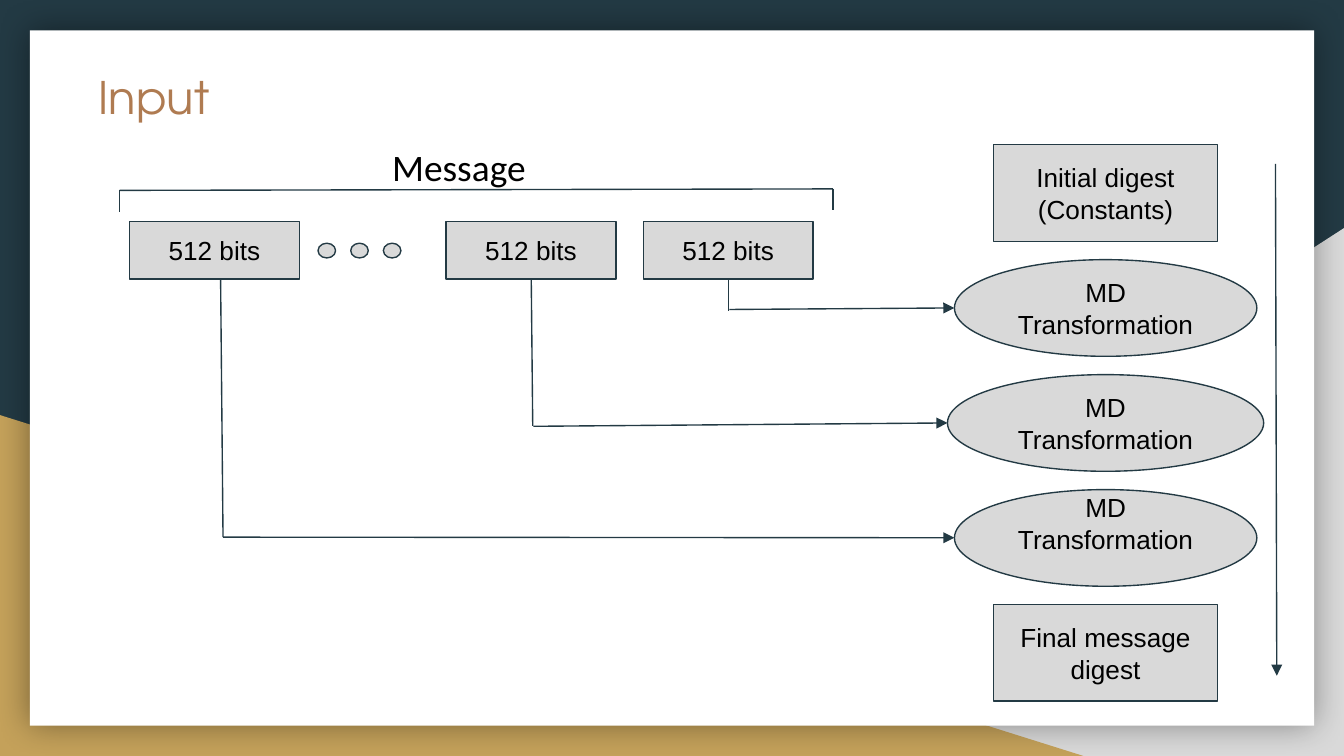
"""Build the slide that shows how message blocks feed the digest transformations."""
from typing import NamedTuple

from lxml.etree import SubElement
from pptx import Presentation
from pptx.dml.color import RGBColor
from pptx.enum.shapes import MSO_CONNECTOR, MSO_SHAPE
from pptx.enum.text import MSO_ANCHOR, MSO_AUTO_SIZE, PP_ALIGN
from pptx.oxml.ns import qn
from pptx.util import Pt

INK, GREY, GOLD, WHITE, BLACK = "233A44", "D9D9D9", "C4A15A", "FFFFFF", "000000"
INSET = 7.2
LABEL = {"name": "Arial", "size": Pt(14)}
HEADING = {"name": "TeX Gyre Adventor", "size": Pt(24), "bold": False}
CAPTION = {"name": "Calibri", "size": Pt(20)}


class Node(NamedTuple):
    kind: MSO_SHAPE
    left: float
    top: float
    width: float
    height: float
    lines: tuple[str, ...] = ()
    bottom_inset: float = INSET


class Line(NamedTuple):
    x1: float
    y1: float
    x2: float
    y2: float
    arrow: bool = False


def paint(color_format, color: str) -> None:
    """Apply a hex colour to a fill or font colour."""
    color_format.rgb = RGBColor.from_string(color)


def write(frame, lines: tuple[str, ...], font: dict, color: str, align: PP_ALIGN,
          anchor: MSO_ANCHOR, bottom_inset: float = INSET) -> None:
    """Fill a text frame with formatted paragraphs."""
    layout = {"word_wrap": True, "auto_size": MSO_AUTO_SIZE.NONE, "vertical_anchor": anchor,
              "margin_left": Pt(INSET), "margin_right": Pt(INSET),
              "margin_top": Pt(INSET), "margin_bottom": Pt(bottom_inset)}
    for key, value in layout.items():
        setattr(frame, key, value)
    frame.text = "\n".join(lines)
    for paragraph in frame.paragraphs:
        paragraph.alignment = align
        for run in paragraph.runs:
            for key, value in font.items():
                setattr(run.font, key, value)
            paint(run.font.color, color)


def draw_node(slide, node: Node, fill: str = GREY, outlined: bool = True):
    """Draw a filled shape with its centred label."""
    shape = slide.shapes.add_shape(node.kind, *map(Pt, node[1:5]))
    shape.shadow.inherit = False
    shape.fill.solid()
    paint(shape.fill.fore_color, fill)
    if outlined:
        shape.line.width = Pt(0.75)
        paint(shape.line.color, INK)
    else:
        shape.line.fill.background()
    if node.lines:
        write(shape.text_frame, node.lines, LABEL, BLACK, PP_ALIGN.CENTER,
              MSO_ANCHOR.MIDDLE, node.bottom_inset)
    return shape


def draw_line(slide, line: Line) -> None:
    """Draw a straight line, with an arrowhead at its end if asked."""
    connector = slide.shapes.add_connector(MSO_CONNECTOR.STRAIGHT, *map(Pt, line[:4]))
    connector.line.width = Pt(0.75)
    paint(connector.line.color, INK)
    if line.arrow:
        SubElement(connector.line._get_or_add_ln(), qn("a:tailEnd"), type="triangle")
    SubElement(connector._element.spPr, qn("a:effectLst"))


def draw_backdrop(slide) -> None:
    """Draw the coloured corners and the white panel with its soft shadow."""
    paint_background = slide.background.fill
    paint_background.solid()
    paint(paint_background.fore_color, INK)
    corner = draw_node(slide, Node(MSO_SHAPE.RIGHT_TRIANGLE, 282.2, 122.2, 437.8, 282.8),
                       GREY, False)
    corner._element.spPr.xfrm.set("flipH", "1")
    draw_node(slide, Node(MSO_SHAPE.RIGHT_TRIANGLE, 0, 222.4, 580.4, 182.6), GOLD, False)
    panel = draw_node(slide, Node(MSO_SHAPE.RECTANGLE, 16, 16.2, 688, 372.5), WHITE, False)
    effects = panel._element.spPr.find(qn("a:effectLst"))
    shadow = SubElement(effects, qn("a:outerShdw"), blurRad=str(Pt(18)), dist="0", dir="0",
                        algn="ctr", rotWithShape="0")
    shade = SubElement(shadow, qn("a:srgbClr"), val=BLACK)
    SubElement(shade, qn("a:alpha"), val="40000")


def draw_title(slide) -> None:
    """Place the title above the backdrop."""
    title = slide.shapes.title
    place = {"left": Pt(45.4), "top": Pt(30.2), "width": Pt(591), "height": Pt(51.8)}
    for key, value in place.items():
        setattr(title, key, value)
    write(title.text_frame, ("Input",), HEADING, "AF7B51", PP_ALIGN.LEFT, MSO_ANCHOR.TOP)
    slide.shapes._spTree.append(title._element)


def draw_message(slide) -> None:
    """Draw the message bracket, its blocks and the dots between them."""
    for left in (69.4, 239, 344.6):
        draw_node(slide, Node(MSO_SHAPE.RECTANGLE, left, 118.7, 91, 30.9, ("512 bits",)))
    for index in range(3):
        draw_node(slide, Node(MSO_SHAPE.OVAL, 170.4 + 17.5 * index, 130.3, 9.4, 7.9))
    caption = slide.shapes.add_textbox(Pt(203), Pt(70), Pt(100), Pt(39))
    write(caption.text_frame, ("Message",), CAPTION, BLACK, PP_ALIGN.LEFT, MSO_ANCHOR.TOP)
    for edge in (Line(64.1, 102, 446.2, 101.2), Line(64.1, 101.8, 64.1, 113.4),
                 Line(446.2, 101, 446.2, 112.4)):
        draw_line(slide, edge)


def draw_digest(slide) -> None:
    """Draw the column of digest steps from the first constants to the result."""
    center, first_top, pitch, height = 592.3, 77.5, 61.6, 51.8
    transformation = ("MD Transformation",)
    steps = (
        (MSO_SHAPE.RECTANGLE, 119.8, ("Initial digest", "(Constants)"), INSET),
        (MSO_SHAPE.OVAL, 162, transformation, INSET),
        (MSO_SHAPE.OVAL, 169.4, transformation, INSET),
        (MSO_SHAPE.OVAL, 162, transformation, 23.3),
        (MSO_SHAPE.RECTANGLE, 119.8, ("Final message digest",), INSET),
    )
    for index, (kind, width, lines, bottom_inset) in enumerate(steps):
        draw_node(slide, Node(kind, center - width / 2, first_top + pitch * index,
                              width, height, lines, bottom_inset))


def draw_flow(slide) -> None:
    """Draw the links from the blocks to the steps and the downward arrow."""
    for link in (
        Line(118.2, 149.6, 119.5, 287.8), Line(119.5, 287.8, 511.3, 288.1, True),
        Line(284.6, 149.6, 285.4, 228.2), Line(285.8, 228.4, 507.6, 226.6, True),
        Line(390.2, 149.6, 390.2, 166.4), Line(390.8, 165.8, 511.3, 165, True),
        Line(683.3, 87.8, 684, 362, True),
    ):
        draw_line(slide, link)


def main() -> None:
    """Assemble and save the slide."""
    deck = Presentation()
    deck.slide_width, deck.slide_height = Pt(720), Pt(405)
    slide = deck.slides.add_slide(deck.slide_layouts[5])
    draw_backdrop(slide)
    draw_title(slide)
    draw_message(slide)
    draw_digest(slide)
    draw_flow(slide)
    deck.save("out.pptx")


if __name__ == "__main__":
    main()
